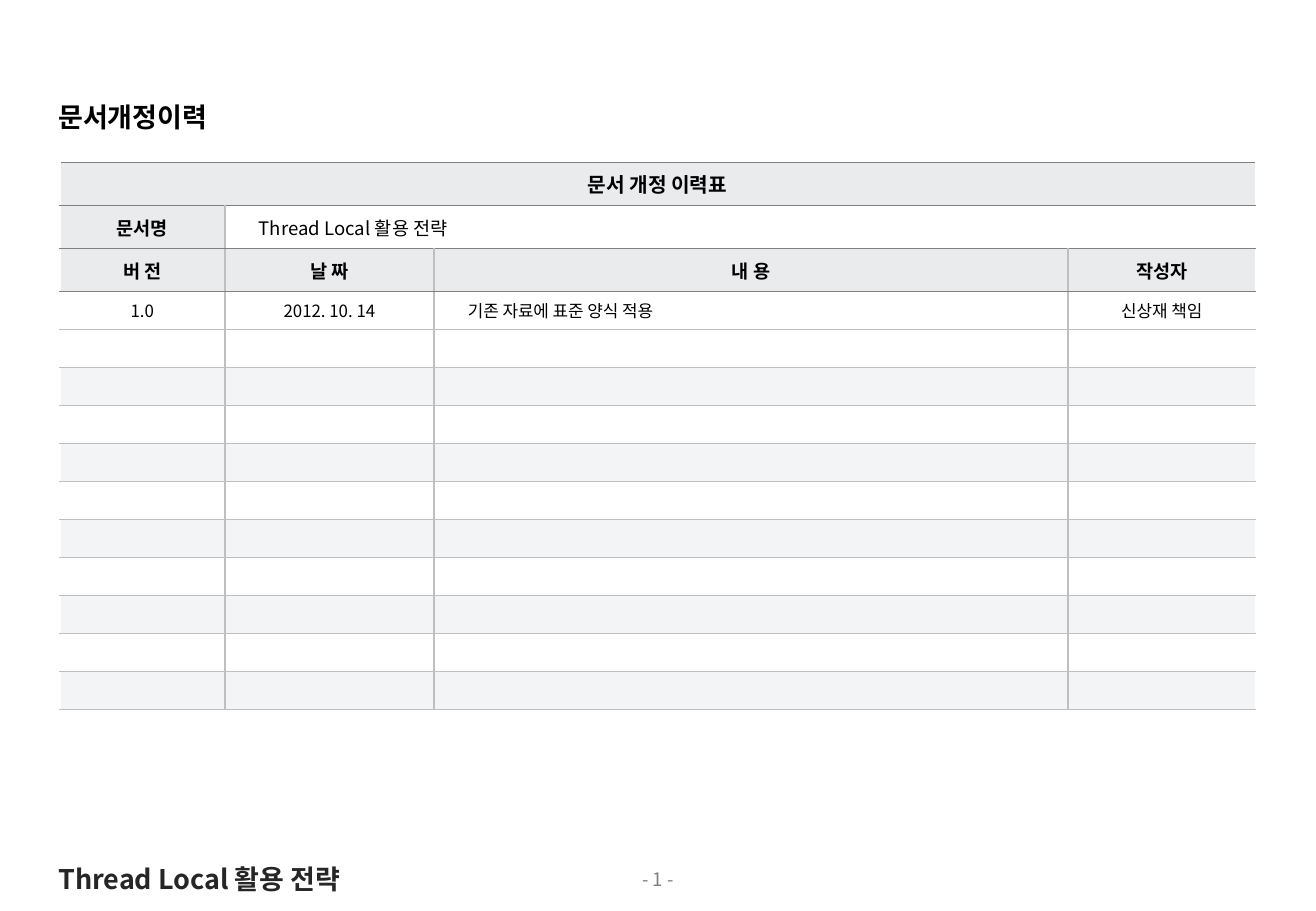
import pptx
import pptx.dml.color
import pptx.enum.text
import pptx.oxml
import pptx.oxml.ns
import pptx.util
from pptx.util import Cm

FONT = "Noto Sans CJK KR"
COLORS = {
    "black": "000000", "dark": "262626", "gray": "808080",
    "line": "BFBFBF", "white": "FFFFFF", "head": "E9EBED", "band": "F3F4F5",
}
LEFT = pptx.enum.text.PP_ALIGN.LEFT
CENTER = pptx.enum.text.PP_ALIGN.CENTER
TITLE = "Thread Local 활용 전략"
COLS = [3.45, 4.37, 13.26, 3.91]
ROWS = [
    ["문서 개정 이력표"],
    ["문서명", TITLE],
    ["버 전", "날 짜", "내 용", "작성자"],
    ["1.0", "2012. 10. 14", "기존 자료에 표준 양식 적용", "신상재 책임"],
] + [[""] * 4 for _ in range(10)]
HEADS = 3


def color(name):
    return pptx.dml.color.RGBColor.from_string(COLORS[name])


def write(frame, text, size, tone, bold=False, align=LEFT):
    para = frame.paragraphs[0]
    para.alignment = align
    if not text:
        # An empty cell keeps its row low through its end mark.
        mark = pptx.oxml.parse_xml(
            f'<a:endParaRPr {pptx.oxml.ns.nsdecls("a")} sz="{size * 100}"/>')
        para._p.append(mark)
        return
    run = para.add_run()
    run.text = text
    run.font.size = pptx.util.Pt(size)
    run.font.name = FONT
    run.font.bold = bold
    run.font.color.rgb = color(tone)
    run._r.get_or_add_rPr().append(pptx.oxml.parse_xml(
        f'<a:ea {pptx.oxml.ns.nsdecls("a")} typeface="{FONT}"/>'))


def label(slide, box, text, size, tone, bold=False, align=LEFT):
    frame = slide.shapes.add_textbox(*map(Cm, box)).text_frame
    frame.word_wrap = True
    write(frame, text, size, tone, bold, align)


def edge(cell, **sides):
    """Draw one-point cell borders; sides map L, R, T, B to colour names."""
    props = cell._tc.get_or_add_tcPr()
    for side, tone in sides.items():
        props.append(pptx.oxml.parse_xml(
            f'<a:ln{side} {pptx.oxml.ns.nsdecls("a")} w="12700"><a:solidFill>'
            f'<a:srgbClr val="{COLORS[tone]}"/></a:solidFill></a:ln{side}>'))


def style(cell, row, col, last):
    edge(cell,
         L="line" if col else "white",
         R="white" if last else "line",
         T="gray" if row <= HEADS else "line",
         B="gray" if row < HEADS else "line")
    if row < HEADS and (row, col) != (1, 1):
        tone = "head"
    else:
        tone = "band" if row > HEADS and row % 2 else None
    if tone:
        cell.fill.solid()
        cell.fill.fore_color.rgb = color(tone)
    else:
        cell.fill.background()


def history(slide, box):
    """Place the revision table; head rows are slightly taller than the rest."""
    left, top, width, height = box
    grid = slide.shapes.add_table(
        len(ROWS), len(COLS), *map(Cm, box)).table
    grid.first_row = grid.horz_banding = False
    for col, size in zip(grid.columns, COLS):
        col.width = Cm(size)
    tall = 0.9
    low = (height - HEADS * tall) / (len(ROWS) - HEADS)
    for i, texts in enumerate(ROWS):
        grid.rows[i].height = Cm(tall if i < HEADS else low)
        end = len(texts) - 1
        if end < len(COLS) - 1:
            grid.cell(i, end).merge(grid.cell(i, len(COLS) - 1))
        for j, text in enumerate(texts):
            cell = grid.cell(i, j)
            style(cell, i, j, j == end)
            inset = (i, j) in [(1, 1), (3, 2)]
            cell.margin_left = Cm(0.71 if inset else 0.15)
            cell.margin_right = Cm(0.15)
            cell.margin_top = cell.margin_bottom = Cm(0.08)
            cell.vertical_anchor = pptx.enum.text.MSO_ANCHOR.MIDDLE
            size = 12 if i == 0 else 11 if i < HEADS else 10
            write(cell.text_frame, text, size, "black",
                  i < HEADS and not inset, LEFT if inset else CENTER)


def footer(slide, box):
    left, top, width, height = box
    label(slide, (left, top + 0.12, width, 0.74), "- 1 -", 11, "gray",
          align=CENTER)
    label(slide, (left + 0.97, top, 8, height), TITLE, 16, "dark", True)


def main():
    deck = pptx.Presentation()
    deck.slide_width, deck.slide_height = Cm(27.51), Cm(19.05)
    slide = deck.slides.add_slide(deck.slide_layouts[6])
    footer(slide, (0, 17.91, 27.51, 0.94))
    history(slide, (1.25, 3.4, sum(COLS), 11.44))
    label(slide, (0.97, 1.98, 3.94, 0.94), "문서개정이력", 16, "black", True)
    deck.save("out.pptx")


if __name__ == "__main__":
    main()
